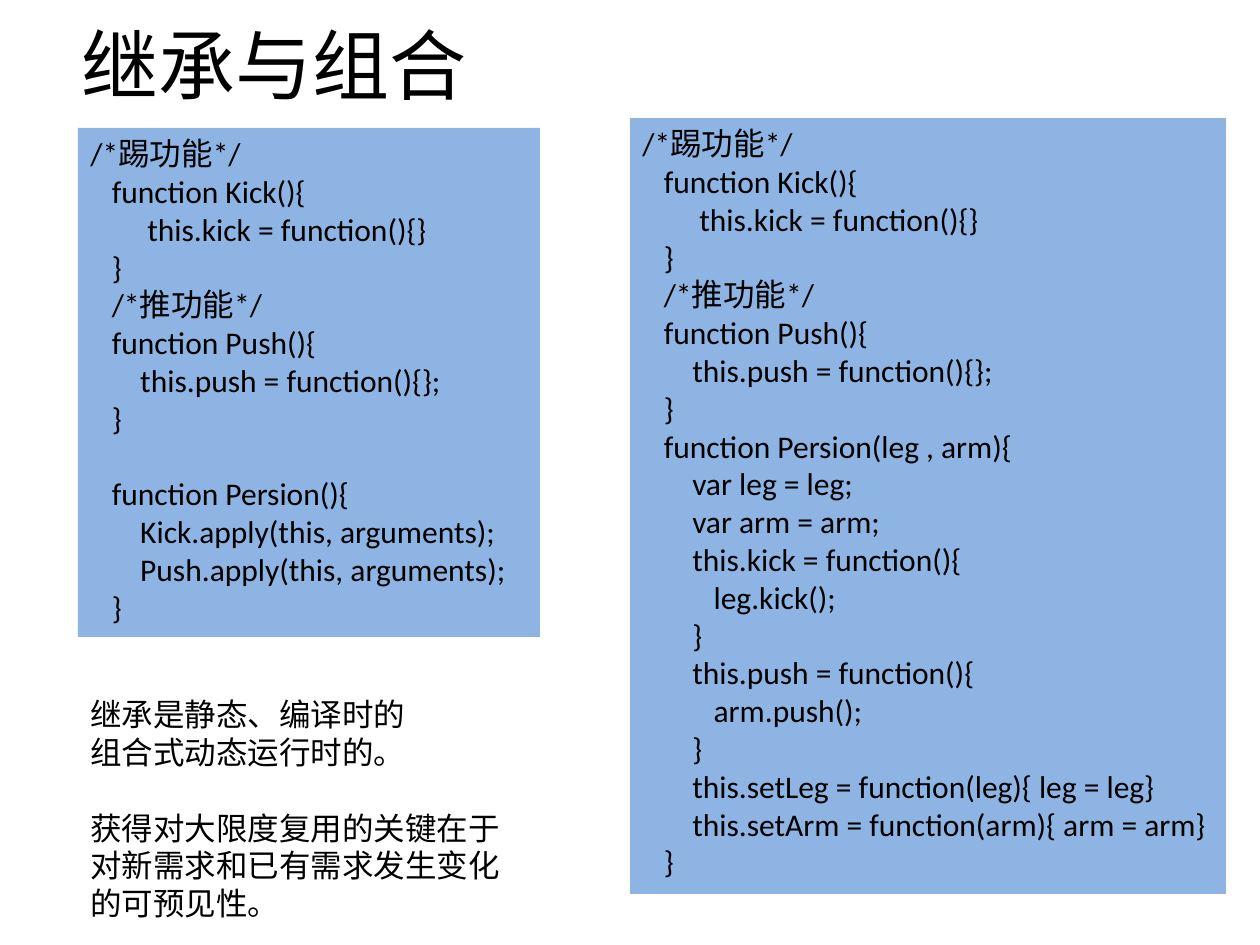
from pptx import Presentation
from pptx.dml.color import RGBColor
from pptx.enum.shapes import MSO_SHAPE
from pptx.enum.text import MSO_ANCHOR, PP_ALIGN
from pptx.util import Emu, Pt

RECT = MSO_SHAPE.RECTANGLE
LEFT = PP_ALIGN.LEFT
TOP, MIDDLE = MSO_ANCHOR.TOP, MSO_ANCHOR.MIDDLE

TITLE = "继承与组合"
PARTS = [
    (0, "/*踢功能*/"),
    (3, "function Kick(){"),
    (8, "this.kick = function(){}"),
    (3, "}"),
    (3, "/*推功能*/"),
    (3, "function Push(){"),
    (7, "this.push = function(){};"),
    (3, "}"),
]
INHERIT = PARTS + [
    (3, "function Persion(){"),
    (7, "Kick.apply(this, arguments);"),
    (7, "Push.apply(this, arguments);"),
    (3, "}"),
]
COMPOSE = PARTS + [
    (3, "function Persion(leg , arm){"),
    (7, "var leg = leg;"),
    (7, "var arm = arm;"),
    (7, "this.kick = function(){"),
    (10, "leg.kick();"),
    (7, "}"),
    (7, "this.push = function(){"),
    (10, "arm.push();"),
    (7, "}"),
    (7, "this.setLeg = function(leg){ leg = leg}"),
    (7, "this.setArm = function(arm){ arm = arm}"),
    (3, "}"),
]
NOTES = [
    (0, "继承是静态、编译时的"),
    (0, "组合式动态运行时的。"),
    (0, "获得对大限度复用的关键在于对新需求和已有需求发生变化的可预见性。"),
]
BOXES = [
    ((78, 128, 462, 509), "8EB4E3", INHERIT, len(PARTS)),
    ((630, 118, 596, 776), "8EB4E3", COMPOSE, None),
    ((78, 689, 462, 242), None, NOTES, 2),
]
BLACK = "000000"
FONT = "Calibri"
SPACE = Pt(4.07)
LINE = Pt(21.6)


def px(n):
    return Emu(round(n * 914400 / 126))


def color(code):
    return RGBColor.from_string(code)


def style(par, size):
    par.alignment = LEFT
    for run in par.runs:
        run.font.name = FONT
        run.font.size = Pt(size)
        run.font.color.rgb = color(BLACK)


def fill_text(frame, lines, gap):
    frame.word_wrap = True
    frame.vertical_anchor = TOP
    frame.text = "\n".join(text for _, text in lines)
    for i, (par, (depth, _)) in enumerate(zip(frame.paragraphs, lines)):
        style(par, 18)
        par._p.get_or_add_pPr().set("marL", str(int(depth * SPACE)))
        if i == gap:
            par.space_before = LINE


def add_box(slide, area, fill, lines, gap):
    place = [px(n) for n in area]
    if fill:
        box = slide.shapes.add_shape(RECT, *place)
        box.shadow.inherit = False
        box.fill.solid()
        box.fill.fore_color.rgb = color(fill)
        box.line.fill.background()
    else:
        box = slide.shapes.add_textbox(*place)
    fill_text(box.text_frame, lines, gap)


def main():
    deck = Presentation()
    deck.slide_width, deck.slide_height = px(1260), px(945)
    slide = deck.slides.add_slide(deck.slide_layouts[5])
    title = slide.shapes.title
    title.left, title.top, title.width, title.height = map(px, (69, 0, 1134, 128))
    title.text_frame.text = TITLE
    title.text_frame.vertical_anchor = MIDDLE
    style(title.text_frame.paragraphs[0], 44)
    for box in BOXES:
        add_box(slide, *box)
    deck.save("out.pptx")


if __name__ == "__main__":
    main()
